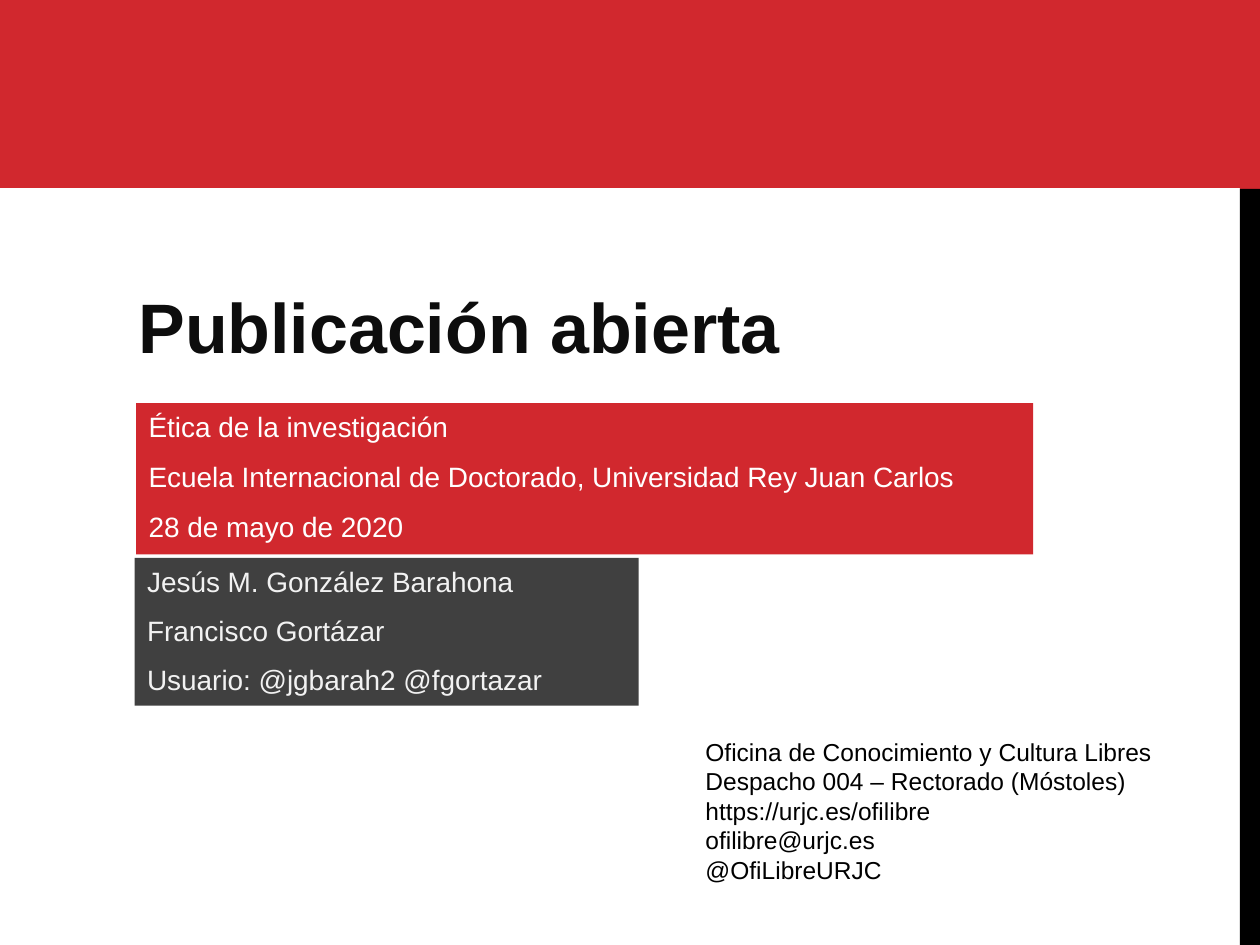
from dataclasses import dataclass

from pptx import Presentation
from pptx.dml.color import RGBColor
from pptx.enum.shapes import MSO_SHAPE
from pptx.enum.text import MSO_ANCHOR, PP_ALIGN
from pptx.util import Pt

FONT = "Arial"
COLOURS = {
    "red": "D1282E",
    "black": "000000",
    "charcoal": "404040",
    "ink": "0D0D0D",
    "pale": "F2F2F2",
    "white": "FFFFFF",
}


@dataclass(frozen=True)
class Box:
    """A rectangle in points."""
    left: float
    top: float
    width: float
    height: float

    def lengths(self) -> tuple:
        return Pt(self.left), Pt(self.top), Pt(self.width), Pt(self.height)


@dataclass(frozen=True)
class Panel:
    box: Box
    fill: str


@dataclass(frozen=True)
class TextBlock:
    """Lines of text, on a coloured panel when fill is given."""
    box: Box
    lines: tuple
    size: float
    colour: str
    fill: str = ""
    bold: bool = False
    space_before: float = 0
    space_after: float = 0
    anchor: MSO_ANCHOR = MSO_ANCHOR.TOP
    bottom_margin: float = 3.6


PANELS = (
    Panel(Box(708.5, 0, 11.5, 108), "red"),
    Panel(Box(708.5, 108, 11.5, 432), "black"),
    Panel(Box(0, -3.6, 720, 111), "red"),
)

TEXT_BLOCKS = (
    TextBlock(
        Box(396, 417.6, 298, 93),
        (
            "Oficina de Conocimiento y Cultura Libres",
            "Despacho 004 – Rectorado (Móstoles)",
            "https://urjc.es/ofilibre",
            "ofilibre@urjc.es",
            "@OfiLibreURJC",
        ),
        14, "black",
    ),
    TextBlock(
        Box(77, 318.8, 288, 84.4),
        (
            "Jesús M. González Barahona",
            "Francisco Gortázar",
            "Usuario: @jgbarah2 @fgortazar",
        ),
        16, "pale", fill="charcoal", space_before=3, space_after=6,
    ),
    TextBlock(
        Box(72, 86.4, 591, 163.4),
        ("Publicación abierta",),
        40, "ink", bold=True, anchor=MSO_ANCHOR.BOTTOM, bottom_margin=40,
    ),
    TextBlock(
        Box(77.8, 230.4, 512.6, 86.4),
        (
            "Ética de la investigación",
            "Ecuela Internacional de Doctorado, Universidad Rey Juan Carlos",
            "28 de mayo de 2020",
        ),
        16, "white", fill="red", space_after=9.5,
    ),
)


def colour(name: str) -> RGBColor:
    return RGBColor.from_string(COLOURS[name])


def draw_panel(slide, panel: Panel):
    shape = slide.shapes.add_shape(MSO_SHAPE.RECTANGLE, *panel.box.lengths())
    shape.shadow.inherit = False
    shape.fill.solid()
    shape.fill.fore_color.rgb = colour(panel.fill)
    shape.line.fill.background()
    return shape


def draw_text(slide, block: TextBlock) -> None:
    if block.fill:
        shape = draw_panel(slide, Panel(block.box, block.fill))
    else:
        shape = slide.shapes.add_textbox(*block.box.lengths())
    frame = shape.text_frame
    frame.word_wrap = True
    frame.vertical_anchor = block.anchor
    frame.margin_bottom = Pt(block.bottom_margin)
    for index, line in enumerate(block.lines):
        paragraph = frame.add_paragraph() if index else frame.paragraphs[0]
        paragraph.alignment = PP_ALIGN.LEFT
        paragraph.space_before = Pt(block.space_before if index else 0)
        paragraph.space_after = Pt(block.space_after)
        run = paragraph.add_run()
        run.text = line
        run.font.name = FONT
        run.font.size = Pt(block.size)
        run.font.bold = block.bold
        run.font.color.rgb = colour(block.colour)


def main() -> None:
    presentation = Presentation()
    presentation.slide_width, presentation.slide_height = Pt(720), Pt(540)
    slide = presentation.slides.add_slide(presentation.slide_layouts[6])
    for panel in PANELS:
        draw_panel(slide, panel)
    for block in TEXT_BLOCKS:
        draw_text(slide, block)
    presentation.save("out.pptx")


if __name__ == "__main__":
    main()
